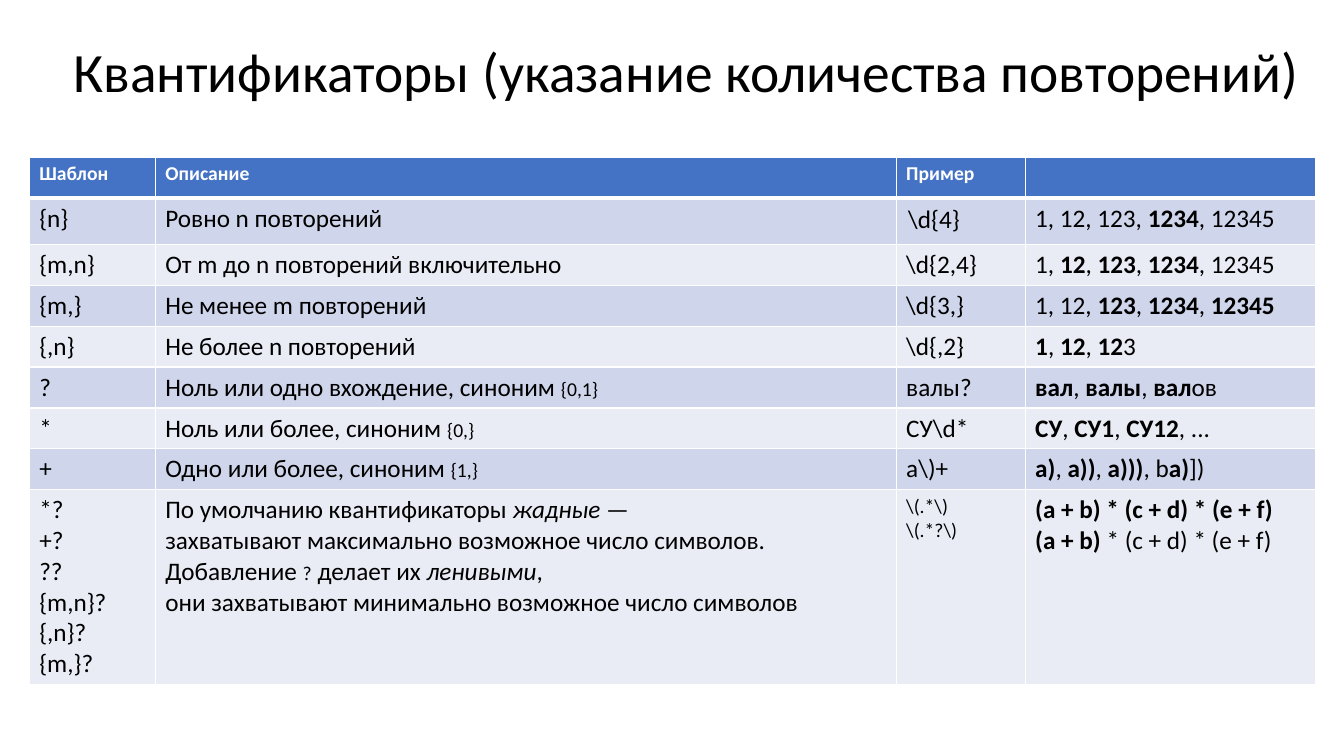
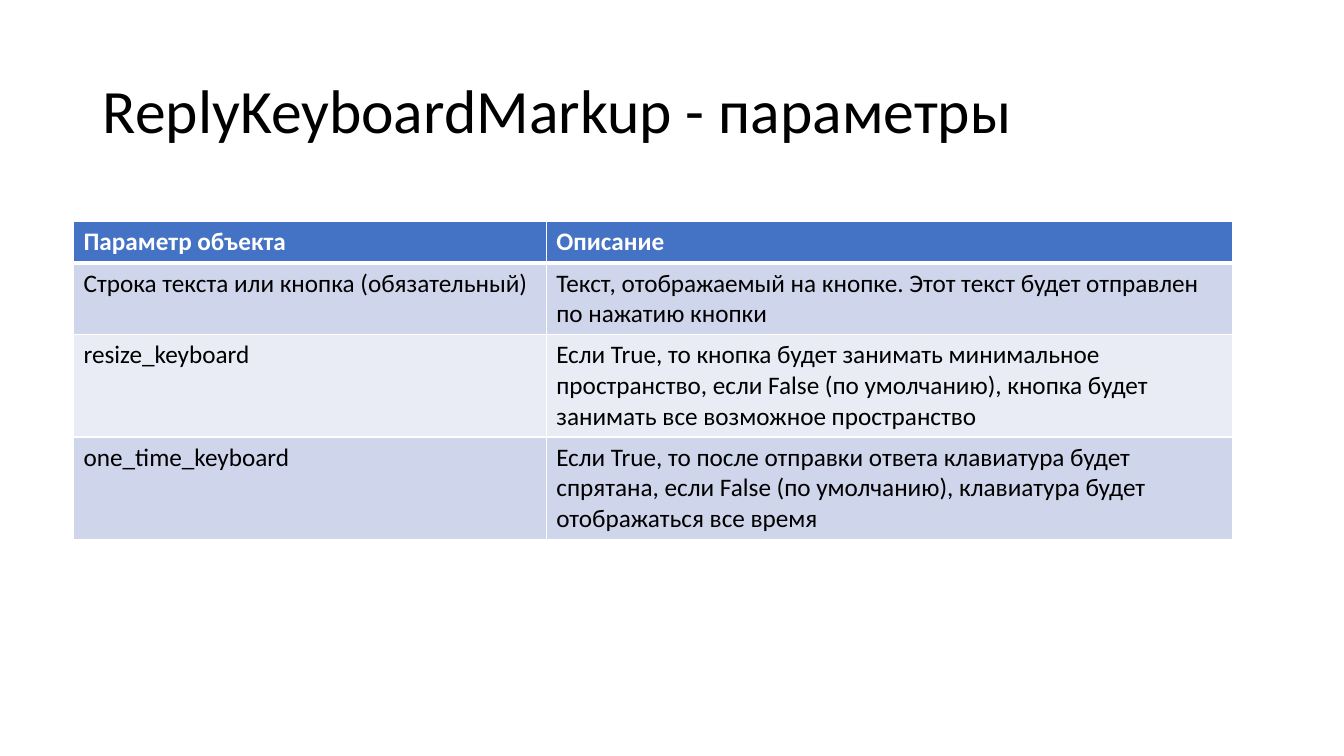
from pptx import Presentation, util as u
from pptx.dml.color import RGBColor
from pptx.enum import text
from pptx.oxml import parse_xml
from pptx.oxml.ns import nsdecls


def rgb(value):
    """Turn a hex string into a colour."""
    return RGBColor.from_string(value)


def grid(units):
    """Turn grid steps of a tenth of an inch into a length."""
    return u.Inches(units / 10)


def bold(words):
    """Mark words as bold."""
    return words, {"bold": True}


def italic(words):
    """Mark words as italic."""
    return words, {"italic": True}


def small(words):
    """Mark words as small."""
    return words, {"size": 14}


class Deck:
    """Hold the shared style and the current slide."""

    FONT = "Calibri"
    INK, PAPER = "000000", "FFFFFF"
    HEADER, BANDS = "4472C4", ("E9EBF5", "CFD5EA")
    TITLE_ONLY = 5

    def __init__(self):
        """Start a wide presentation."""
        self.prs = Presentation()
        self.prs.slide_width, self.prs.slide_height = grid(133.33), grid(75)
        self.slide = None

    def add_slide(self, heading, place, size=44):
        """Add a slide with its title."""
        layout = self.prs.slide_layouts[self.TITLE_ONLY]
        self.slide = self.prs.slides.add_slide(layout)
        title = self.slide.shapes.title
        title.left, title.top, title.width, title.height = map(grid, place)
        frame = title.text_frame
        frame.auto_size = text.MSO_AUTO_SIZE.NONE
        frame.word_wrap = True
        frame.vertical_anchor = text.MSO_ANCHOR.MIDDLE
        paragraph = frame.paragraphs[0]
        paragraph.alignment = text.PP_ALIGN.LEFT
        paragraph.line_spacing = 0.9
        self.add_runs(paragraph, heading, self.INK, size)

    def add_runs(self, paragraph, content, color, size, strong=False):
        """Add plain or marked words run by run."""
        for part in [content] if isinstance(content, str) else content:
            words, marks = (part, {}) if isinstance(part, str) else part
            for number, line in enumerate(words.split("\n")):
                if number:
                    paragraph.add_line_break()
                if not line:
                    continue
                run = paragraph.add_run()
                run.text = line
                run.font.name = self.FONT
                run.font.color.rgb = rgb(color)
                run.font.size = u.Pt(marks.get("size", size))
                run.font.bold = marks.get("bold", strong)
                run.font.italic = marks.get("italic", False)

    def border(self, cell, **widths):
        """Draw the edges of a cell in the paper colour."""
        properties = cell._tc.get_or_add_tcPr()
        for edge in "LRTB":
            width = u.Pt(widths.get(edge, 1))
            properties.append(parse_xml(
                f'<a:ln{edge} {nsdecls("a")} w="{width}"><a:solidFill>'
                f'<a:srgbClr val="{self.PAPER}"/></a:solidFill></a:ln{edge}>'))

    def add_table(self, corner, columns, heights, rows, header_size=18):
        """Add a banded table and return it."""
        place = (*corner, sum(columns), sum(heights))
        table = self.slide.shapes.add_table(
            len(rows), len(columns), *map(grid, place)).table
        for column, width in zip(table.columns, columns):
            column.width = grid(width)
        for y, (contents, height) in enumerate(zip(rows, heights)):
            table.rows[y].height = grid(height)
            for x, content in enumerate(contents):
                cell = table.cell(y, x)
                self.border(cell, T=3 if y == 1 else 1, B=1 if y else 3)
                cell.fill.solid()
                cell.fill.fore_color.rgb = rgb(
                    self.BANDS[y % 2] if y else self.HEADER)
                self.add_runs(cell.text_frame.paragraphs[0], content,
                              self.INK if y else self.PAPER,
                              18 if y else header_size, strong=not y)
        return table

    def save(self):
        """Save the presentation."""
        self.prs.save("out.pptx")


QUANTIFIERS = [
    ("Шаблон", "Описание", "Пример", ""),
    ("{n}", "Ровно n повторений", r"\d{4}",
     ["1, 12, 123, ", bold("1234"), ", 12345"]),
    ("{m,n}", "От m до n повторений включительно", r"\d{2,4}",
     ["1, ", bold("12"), ", ", bold("123"), ", ", bold("1234"), ", 12345"]),
    ("{m,}", "Не менее m повторений", r"\d{3,}",
     ["1, 12, ", bold("123"), ", ", bold("1234"), ", ", bold("12345")]),
    ("{,n}", "Не более n повторений", r"\d{,2}",
     [bold("1"), ", ", bold("12"), ", ", bold("12"), "3"]),
    ("?", ["Ноль или одно вхождение, синоним ", small("{0,1}")], "валы?",
     [bold("вал"), ", ", bold("валы"), ", ", bold("вал"), "ов"]),
    ("*", ["Ноль или более, синоним ", small("{0,}")], r"СУ\d*",
     [bold("СУ"), ", ", bold("СУ1"), ", ", bold("СУ12"), ", ..."]),
    ("+", ["Одно или более, синоним ", small("{1,}")], r"a\)+",
     [bold("a)"), ", ", bold("a))"), ", ", bold("a)))"), ", b",
      bold("a)"), "])"]),
    ("*?\n+?\n??\n{m,n}?\n{,n}?\n{m,}?",
     ["По умолчанию квантификаторы ", italic("жадные"),
      " —\nзахватывают максимально возможное число символов.\nДобавление ",
      small("?"), " делает их ", italic("ленивыми"),
      ",\nони захватывают минимально возможное число символов"],
     [small("\\(.*\\)\n\\(.*?\\)")],
     [bold("(a + b) * (c + d) * (e + f)\n(a + b) "), "* (c + d) * (e + f)"]),
]

KEYBOARD_PARAMETERS = [
    ("Параметр объекта", "Описание"),
    ("Строка текста или кнопка (обязательный)",
     "Текст, отображаемый на кнопке. Этот текст будет отправлен "
     "по нажатию кнопки"),
    ("resize_keyboard",
     "Если True, то кнопка будет занимать минимальное пространство, "
     "если False (по умолчанию), кнопка будет занимать все возможное "
     "пространство"),
    ("one_time_keyboard",
     "Если True, то после отправки ответа клавиатура будет спрятана, "
     "если False (по умолчанию), клавиатура будет отображаться все время"),
]


def main():
    """Build both slides."""
    deck = Deck()
    deck.add_slide("Квантификаторы (указание количества повторений)",
                   (6.3, 3.2, 124.2, 8.4), 39.6)
    quantifiers = deck.add_table(
        (2.9, 15.6), (12.5, 73.5, 12.8, 28.8),
        (4.05, 4.6, *[4.05] * 6, 19.3), QUANTIFIERS, header_size=14)
    exact_example = quantifiers.cell(1, 2)
    exact_example.margin_left = exact_example.margin_right = grid(1.2)
    exact_example.margin_top, exact_example.margin_bottom = grid(0.6), grid(0.9)

    deck.add_slide("ReplyKeyboardMarkup - параметры", (9.2, 4, 115, 14.5))
    deck.add_table((7.3, 22), (46.9, 68.1), (4.1, 7, 10.1, 10.1),
                   KEYBOARD_PARAMETERS)
    deck.save()


if __name__ == "__main__":
    main()
